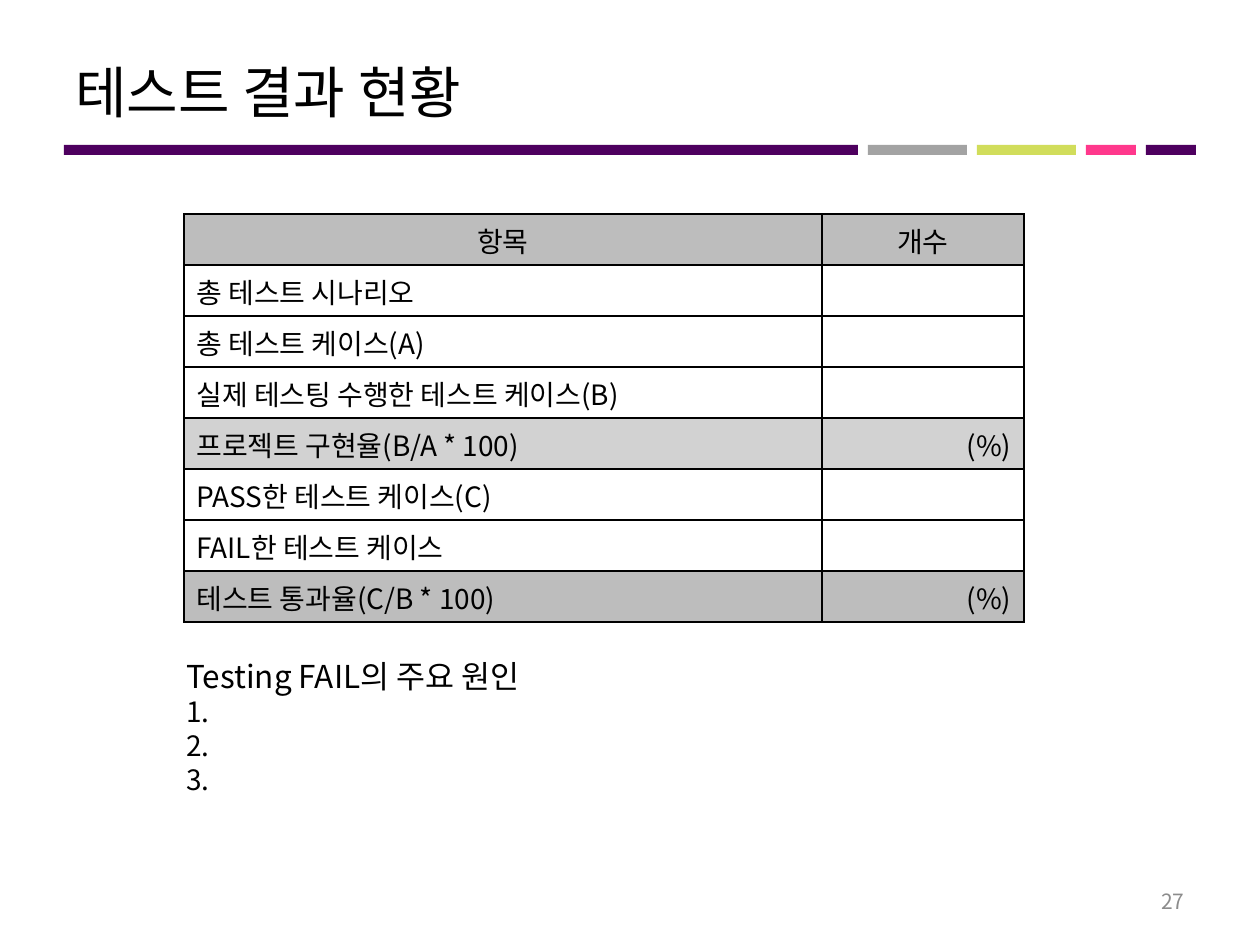
from lxml.etree import SubElement
from pptx import Presentation
from pptx.dml.color import RGBColor
from pptx.enum.shapes import MSO_SHAPE
from pptx.enum.text import MSO_ANCHOR, MSO_AUTO_SIZE, PP_ALIGN
from pptx.oxml.ns import qn
from pptx.util import Pt

PX = 914400 // 126
FONT = "Noto Sans CJK KR"
BLACK = RGBColor(0, 0, 0)
WHITE = RGBColor(255, 255, 255)
PURPLE = RGBColor(0x4E, 0x00, 0x5F)
GREY = RGBColor(0xA3, 0xA3, 0xA3)
LIME = RGBColor(0xD1, 0xDD, 0x5B)
PINK = RGBColor(0xFF, 0x38, 0x8C)
MID = RGBColor(0xBD, 0xBD, 0xBD)
LIGHT = RGBColor(0xD2, 0xD2, 0xD2)
FAINT = RGBColor(0x8C, 0x8C, 0x8C)
LEFT, CENTER, RIGHT = PP_ALIGN.LEFT, PP_ALIGN.CENTER, PP_ALIGN.RIGHT

TITLE = "테스트 결과 현황"
PAGE = "27"
BARS = [(794, PURPLE), (99, GREY), (99, LIME), (50, PINK), (50, PURPLE)]
ROWS = [
    ("항목", "개수", MID),
    ("총 테스트 시나리오", "", WHITE),
    ("총 테스트 케이스(A)", "", WHITE),
    ("실제 테스팅 수행한 테스트 케이스(B)", "", WHITE),
    ("프로젝트 구현율(B/A * 100)", "(%)", LIGHT),
    ("PASS한 테스트 케이스(C)", "", WHITE),
    ("FAIL한 테스트 케이스", "", WHITE),
    ("테스트 통과율(C/B * 100)", "(%)", MID),
]
COLS = [638, 202]
ROW = 51
CAUSES = [("Testing FAIL의 주요 원인", 18), ("1.", 16), ("2.", 16), ("3.", 16)]


def write(para, text, size=16, color=BLACK, align=LEFT):
    para.alignment = align
    if not text:
        return
    run = para.add_run()
    run.text = text
    run.font.size = Pt(size)
    run.font.name = FONT
    run.font.color.rgb = color
    SubElement(run.font._element, qn("a:ea"), typeface=FONT)


def add_box(slide, *area, wrap=True, anchor=MSO_ANCHOR.MIDDLE):
    frame = slide.shapes.add_textbox(*(n * PX for n in area)).text_frame
    frame.word_wrap = wrap
    frame.vertical_anchor = anchor
    return frame


def add_bars(slide, left=64, top=145, high=10, gap=10):
    for wide, color in BARS:
        bar = slide.shapes.add_shape(
            MSO_SHAPE.RECTANGLE, left * PX, top * PX, wide * PX, high * PX)
        bar.shadow.inherit = False
        bar.fill.solid()
        bar.fill.fore_color.rgb = color
        bar.line.fill.background()
        left += wide + gap


def set_border(cell):
    """Draw a black line on all four sides; called before the fill is set."""
    props = cell._tc.get_or_add_tcPr()
    for side in ("lnL", "lnR", "lnT", "lnB"):
        line = SubElement(props, qn("a:" + side), w=str(Pt(1)))
        fill = SubElement(line, qn("a:solidFill"))
        SubElement(fill, qn("a:srgbClr"), val=str(BLACK))


def add_results(slide, left=184, top=214):
    table = slide.shapes.add_table(
        len(ROWS), len(COLS), left * PX, top * PX,
        sum(COLS) * PX, len(ROWS) * ROW * PX).table
    for col, wide in zip(table.columns, COLS):
        col.width = wide * PX
    for i, (item, count, color) in enumerate(ROWS):
        table.rows[i].height = ROW * PX
        aligns = (LEFT, RIGHT) if i else (CENTER, CENTER)
        for j, text in enumerate((item, count)):
            cell = table.cell(i, j)
            set_border(cell)
            cell.fill.solid()
            cell.fill.fore_color.rgb = color
            write(cell.text_frame.paragraphs[0], text, align=aligns[j])


def main():
    deck = Presentation()
    deck.slide_width, deck.slide_height = 1260 * PX, 945 * PX
    slide = deck.slides.add_slide(deck.slide_layouts[6])
    add_bars(slide)
    write(add_box(slide, 63, 38, 1134, 107).paragraphs[0], TITLE, size=32)
    write(add_box(slide, 903, 876, 294, 50).paragraphs[0], PAGE,
          size=12, color=FAINT, align=RIGHT)
    add_results(slide)
    frame = add_box(slide, 174, 651, 377, 152, wrap=False, anchor=MSO_ANCHOR.TOP)
    frame.auto_size = MSO_AUTO_SIZE.SHAPE_TO_FIT_TEXT
    for i, (text, size) in enumerate(CAUSES):
        para = frame.add_paragraph() if i else frame.paragraphs[0]
        write(para, text, size=size)
    deck.save("out.pptx")


if __name__ == "__main__":
    main()
